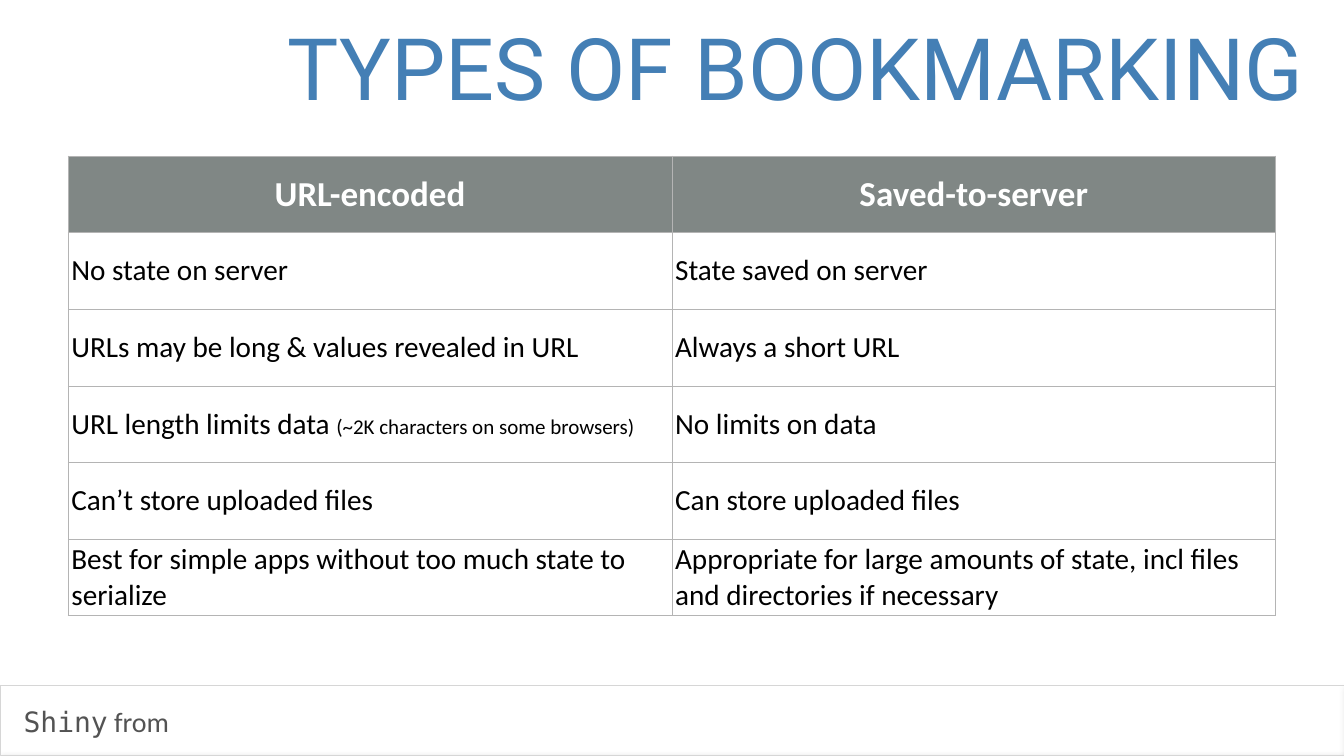
from dataclasses import dataclass

from lxml import etree
from pptx import Presentation
from pptx.dml.color import RGBColor
from pptx.enum.shapes import MSO_SHAPE
from pptx.enum.text import MSO_ANCHOR, MSO_AUTO_SIZE, PP_ALIGN
from pptx.oxml.ns import qn
from pptx.util import Emu, Pt

RECTANGLE = MSO_SHAPE.RECTANGLE
MIDDLE = MSO_ANCHOR.MIDDLE
NO_AUTOFIT = MSO_AUTO_SIZE.NONE
GROW = MSO_AUTO_SIZE.SHAPE_TO_FIT_TEXT
LEFT, CENTER, RIGHT = PP_ALIGN.LEFT, PP_ALIGN.CENTER, PP_ALIGN.RIGHT

TITLE_ONLY = 5
INSET = 6
BODY_SIZE = 41.7
TABLE_LEFT, TABLE_TOP = 130, 297
COLUMN_WIDTH, ROW_HEIGHT = 1150, 146
HEADER_FILL = "808785"
BORDER = "B4B4B4"
FOOTER_TEXT = "535353"


@dataclass(frozen=True)
class Span:
    text: str
    size: float = BODY_SIZE
    font: str = "Calibri"
    color: str = "000000"
    bold: bool = False


@dataclass(frozen=True)
class Comparison:
    encoded: tuple[Span, ...]
    saved: tuple[Span, ...]


def heading(text: str) -> tuple[Span, ...]:
    return (Span(text, size=50, color="FFFFFF", bold=True),)


def body(text: str) -> tuple[Span, ...]:
    return (Span(text),)


COMPARISONS = (
    Comparison(heading("URL-encoded"), heading("Saved-to-server")),
    Comparison(body("No state on server"), body("State saved on server")),
    Comparison(body("URLs may be long & values revealed in URL"), body("Always a short URL")),
    Comparison(
        (Span("URL length limits data "), Span("(~2K characters on some browsers)", size=30)),
        body("No limits on data"),
    ),
    Comparison(body("Can’t store uploaded files"), body("Can store uploaded files")),
    Comparison(
        body("Best for simple apps without too much state to serialize"),
        body("Appropriate for large amounts of state, incl files and directories if necessary"),
    ),
)


def px(length: int) -> Emu:
    return Emu(length * 9525)


def rgb(value: str) -> RGBColor:
    return RGBColor.from_string(value)


def set_insets(holder, left: int = INSET) -> None:
    holder.margin_left = px(left)
    holder.margin_right = holder.margin_top = holder.margin_bottom = px(INSET)
    holder.vertical_anchor = MIDDLE


def write_text(frame, spans: tuple[Span, ...], *, align=LEFT) -> None:
    para = frame.paragraphs[0]
    para.alignment = align
    for span in spans:
        run = para.add_run()
        run.text = span.text
        run.font.size = Pt(span.size)
        run.font.name = span.font
        run.font.bold = span.bold
        run.font.color.rgb = rgb(span.color)


def add_color(parent, value: str):
    return etree.SubElement(parent, qn("a:srgbClr"), val=value)


def add_borders(cell) -> None:
    properties = cell._tc.get_or_add_tcPr()
    for index, side in enumerate(("a:lnL", "a:lnR", "a:lnT", "a:lnB")):
        line = etree.Element(qn(side), w=str(Pt(1)))
        add_color(etree.SubElement(line, qn("a:solidFill")), BORDER)
        properties.insert(index, line)


def add_shadow(shape) -> None:
    shape.shadow.inherit = False
    effects = shape._element.spPr.find(qn("a:effectLst"))
    shadow = etree.SubElement(
        effects, qn("a:outerShdw"),
        blurRad=str(Pt(4)), dist=str(Pt(1.6)), dir="5400000", rotWithShape="0",
    )
    etree.SubElement(add_color(shadow, "000000"), qn("a:alpha"), val="50000")


def draw_footer(page) -> None:
    bar = page.shapes.add_shape(RECTANGLE, px(1), px(1306), px(2560), px(133))
    bar.fill.background()
    bar.line.color.rgb = rgb("D6D6D6")
    bar.line.width = Pt(1)
    add_shadow(bar)

    box = page.shapes.add_textbox(px(27), px(1337), px(302), px(75))
    frame = box.text_frame
    frame.word_wrap = False
    frame.auto_size = GROW
    set_insets(frame, left=18)
    write_text(frame, (
        Span("Shiny", size=40, font="DejaVu Sans Mono", color=FOOTER_TEXT),
        Span(" from", size=40, color=FOOTER_TEXT),
    ))


def draw_title(page) -> None:
    title = page.shapes.title
    title.left, title.top, title.width, title.height = px(70), px(22), px(2420), px(209)
    frame = title.text_frame
    frame.word_wrap = True
    frame.auto_size = NO_AUTOFIT
    set_insets(frame)
    write_text(
        frame,
        (Span("TYPES OF BOOKMARKING", size=123, font="Roboto", color="447FB5"),),
        align=RIGHT,
    )


def draw_table(page) -> None:
    row_count = len(COMPARISONS)
    table = page.shapes.add_table(
        row_count, 2, px(TABLE_LEFT), px(TABLE_TOP),
        px(2 * COLUMN_WIDTH), px(row_count * ROW_HEIGHT),
    ).table
    table.horz_banding = False
    for row_index, comparison in enumerate(COMPARISONS):
        is_header = row_index == 0
        for column_index, spans in enumerate((comparison.encoded, comparison.saved)):
            cell = table.cell(row_index, column_index)
            set_insets(cell)
            if is_header:
                cell.fill.solid()
                cell.fill.fore_color.rgb = rgb(HEADER_FILL)
            else:
                cell.fill.background()
            add_borders(cell)
            write_text(cell.text_frame, spans, align=CENTER if is_header else LEFT)


def main() -> None:
    deck = Presentation()
    deck.slide_width, deck.slide_height = px(2560), px(1440)
    page = deck.slides.add_slide(deck.slide_layouts[TITLE_ONLY])
    draw_footer(page)
    draw_title(page)
    draw_table(page)
    deck.save("out.pptx")


if __name__ == "__main__":
    main()
